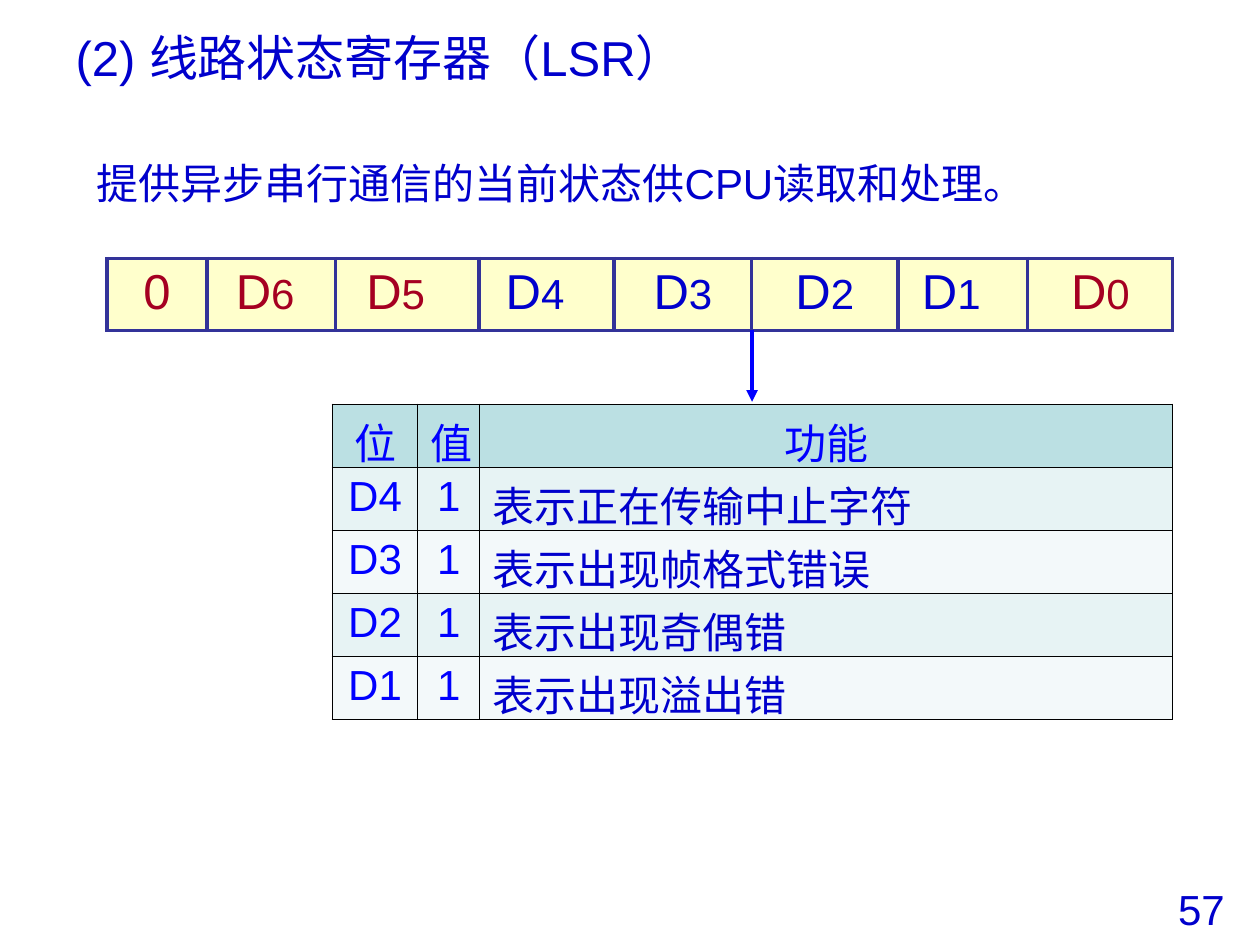
from lxml.etree import SubElement
from pptx import Presentation
from pptx.dml.color import RGBColor
from pptx.enum.shapes import MSO_CONNECTOR
from pptx.enum.text import MSO_ANCHOR, MSO_AUTO_SIZE, PP_ALIGN
from pptx.oxml import parse_xml
from pptx.oxml.ns import nsdecls, qn
from pptx.util import Cm, Pt

COLORS = {
    "text": "0000CC",
    "label": "0000FF",
    "red": "A50021",
    "register": "FFFFCC",
    "register_border": "333399",
    "header": "BBE0E3",
    "odd": "E7F3F4",
    "even": "F3F9FA",
    "grid": "000000",
}


def style_font(para, size, color, align=PP_ALIGN.LEFT):
    para.alignment = align
    para.font.name = "Arial"
    para.font.size = Pt(size)
    para.font.color.rgb = RGBColor.from_string(COLORS[color])


def style_cell(cell, fill, border, width):
    cell.fill.solid()
    cell.fill.fore_color.rgb = RGBColor.from_string(COLORS[fill])
    for index, side in enumerate(("lnL", "lnR", "lnT", "lnB")):
        line = parse_xml(
            f'<a:{side} {nsdecls("a")} w="{Pt(width)}"><a:solidFill>'
            f'<a:srgbClr val="{COLORS[border]}"/></a:solidFill></a:{side}>'
        )
        cell._tc.get_or_add_tcPr().insert(index, line)


deck = Presentation()
deck.slide_width, deck.slide_height = Cm(25.4), Cm(19.05)
page = deck.slides.add_slide(deck.slide_layouts[5])

title = page.shapes.title
title.left, title.top, title.width, title.height = Cm(1.27), Cm(0.43), Cm(12.88), Cm(1.45)
title.text_frame.text = "(2) 线路状态寄存器（LSR）"
title.text_frame.auto_size = MSO_AUTO_SIZE.NONE
title.text_frame.vertical_anchor = MSO_ANCHOR.MIDDLE
style_font(title.text_frame.paragraphs[0], 28, "text")

notes = [
    ("提供异步串行通信的当前状态供CPU读取和处理。", 1.7, 3.05, 19.43, PP_ALIGN.LEFT),
    ("57", 23.24, 17.68, 1.96, PP_ALIGN.CENTER),
]
for text, left, top, width, align in notes:
    box = page.shapes.add_textbox(Cm(left), Cm(top), Cm(width), Cm(1.27))
    box.text_frame.word_wrap = True
    box.text_frame.text = text
    style_font(box.text_frame.paragraphs[0], 24, "text", align)

bits = [
    ("", "0", 2.01, "red", 0),
    ("D", "6", 2.59, "red", 0.24),
    ("D", "5", 2.9, "red", 0.47),
    ("D", "4", 2.72, "text", 0.47),
    ("D", "3", 2.77, "text", 0),
    ("D", "2", 2.95, "text", 0),
    ("D", "1", 2.62, "text", 0.47),
    ("D", "0", 2.92, "red", 0),
]
register_width = sum(bit[2] for bit in bits)
register = page.shapes.add_table(
    1, len(bits), Cm(2.16), Cm(5.21), Cm(register_width), Cm(1.45)
).table
register.first_row = register.horz_banding = False
for column, (letter, digit, width, color, shift) in enumerate(bits):
    register.columns[column].width = Cm(width)
    cell = register.cell(0, column)
    style_cell(cell, "register", "register_border", 2.25)
    cell.margin_right = Cm(0.25 + shift)
    para = cell.text_frame.paragraphs[0]
    style_font(para, 28, color, PP_ALIGN.CENTER)
    if letter:
        para.add_run().text = letter
    span = para.add_run()
    span.text = digit
    if letter:
        span.font.size = Pt(24)

arrow = page.shapes.add_connector(
    MSO_CONNECTOR.STRAIGHT, Cm(15.16), Cm(6.65), Cm(15.16), Cm(8.1)
)
arrow.line.color.rgb = RGBColor.from_string(COLORS["label"])
arrow.line.width = Pt(2.25)
SubElement(arrow.line._get_or_add_ln(), qn("a:tailEnd"), type="triangle")
SubElement(arrow._element.spPr, qn("a:effectLst"))

functions = [
    ("位", "值", "功能"),
    ("D4", "1", "表示正在传输中止字符"),
    ("D3", "1", "表示出现帧格式错误"),
    ("D2", "1", "表示出现奇偶错"),
    ("D1", "1", "表示出现溢出错"),
]
widths = [1.72, 1.25, 13.97]
table = page.shapes.add_table(
    len(functions), len(widths), Cm(6.7), Cm(8.15), Cm(sum(widths)), Cm(1.27 * len(functions))
).table
table.first_row = table.horz_banding = False
for column, width in enumerate(widths):
    table.columns[column].width = Cm(width)
for row, texts in enumerate(functions):
    fill = "header" if row == 0 else "odd" if row % 2 else "even"
    for column, text in enumerate(texts):
        cell = table.cell(row, column)
        style_cell(cell, fill, "grid", 1)
        cell.text = text
        is_description = row > 0 and column == 2
        style_font(
            cell.text_frame.paragraphs[0],
            24,
            "text" if is_description else "label",
            PP_ALIGN.LEFT if is_description else PP_ALIGN.CENTER,
        )

deck.save("out.pptx")
